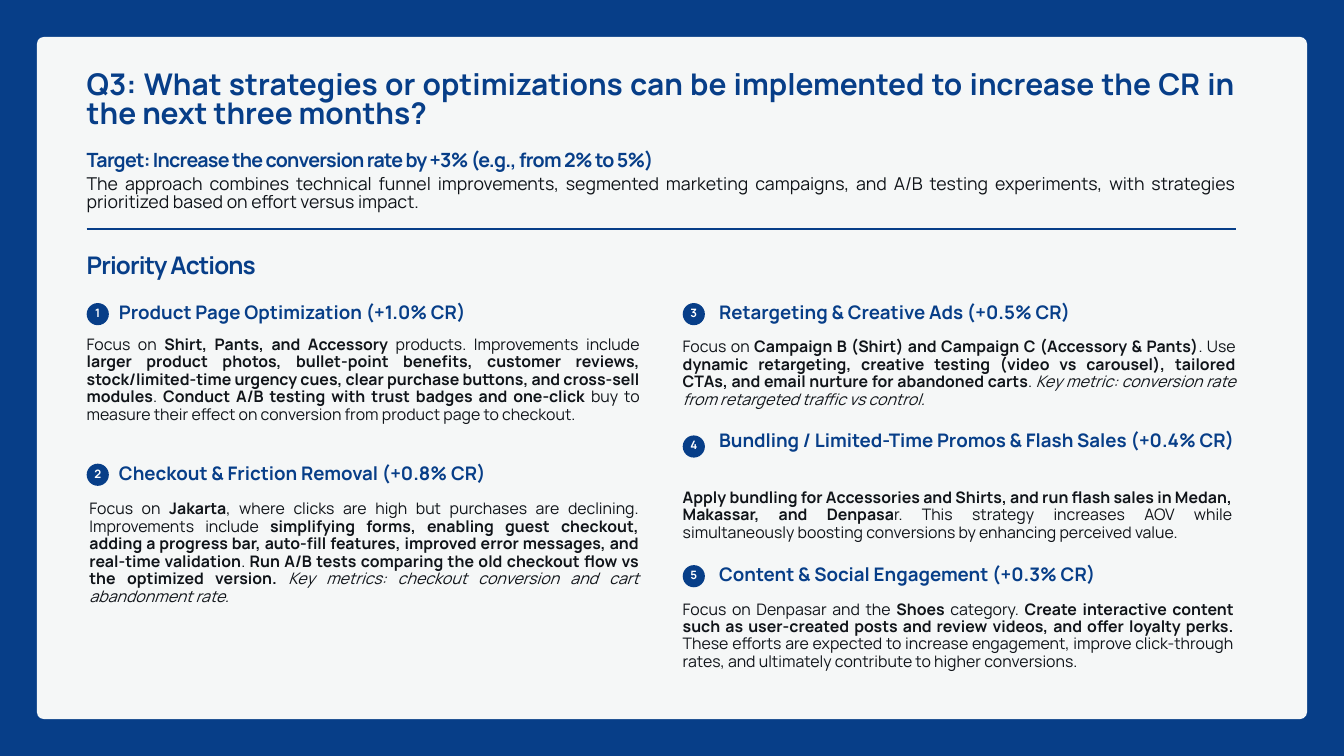
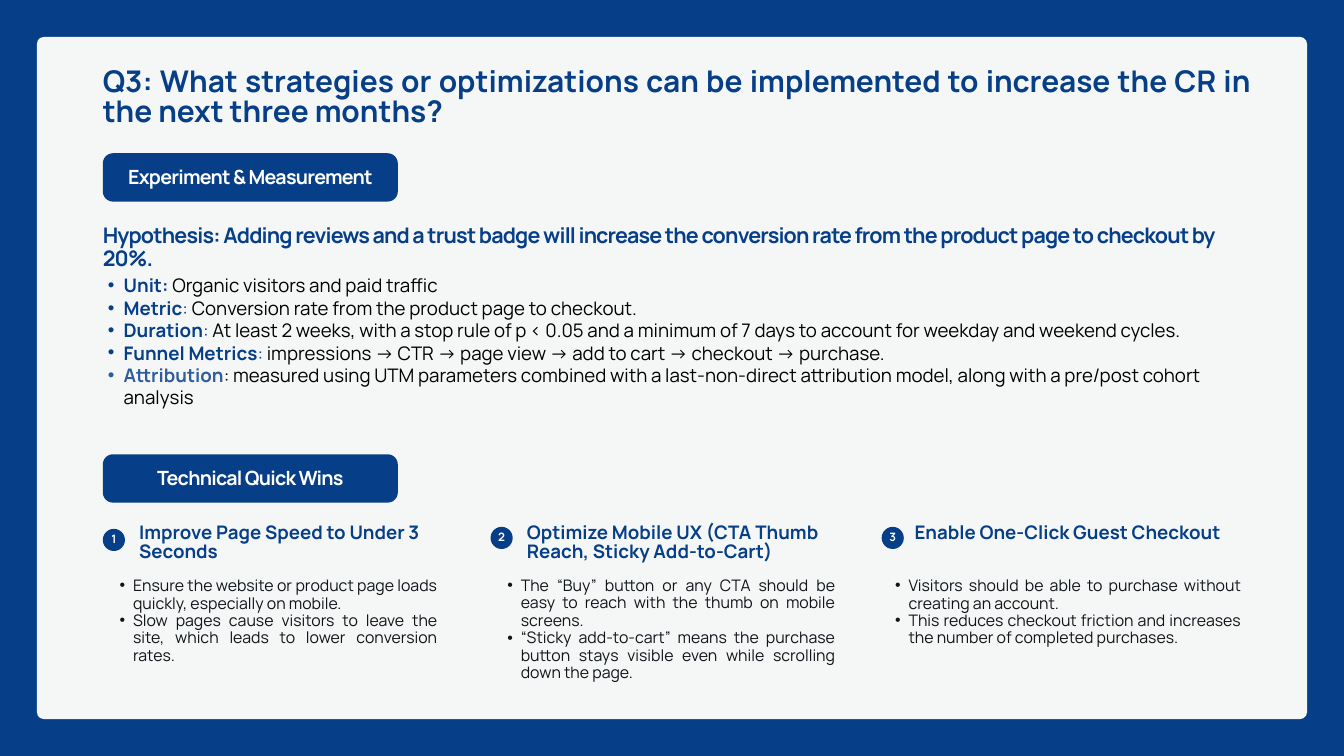
from lxml.etree import SubElement
from pptx import Presentation
from pptx.dml.color import RGBColor
from pptx.enum.shapes import MSO_CONNECTOR, MSO_SHAPE
from pptx.enum.text import MSO_ANCHOR, MSO_AUTO_SIZE, PP_ALIGN
from pptx.oxml.ns import qn
from pptx.util import Inches, Pt

BLUE = RGBColor(0x07, 0x3E, 0x88)
SOFT_BLUE = RGBColor(0x2F, 0x5D, 0x9B)
PAPER = RGBColor(0xF5, 0xF7, 0xF7)
INK = RGBColor(0x10, 0x14, 0x19)
BLACK = RGBColor(0, 0, 0)
WHITE = RGBColor(0xFF, 0xFF, 0xFF)
FONT = "Manrope"
LEFT, JUSTIFY, CENTER = PP_ALIGN.LEFT, PP_ALIGN.JUSTIFY, PP_ALIGN.CENTER


def write(sp, paragraphs, size, line, color, align=LEFT, anchor=MSO_ANCHOR.TOP,
          tracking=0, indent=None):
    """Fill sp with paragraphs, each a list of (text, style[, colour]) runs.

    style holds "b" for bold and "i" for italic; an indent gives bullets.
    """
    tf = sp.text_frame
    tf.auto_size = MSO_AUTO_SIZE.NONE
    tf.word_wrap = True
    tf.vertical_anchor = anchor
    tf.margin_left = tf.margin_right = tf.margin_top = tf.margin_bottom = 0
    for i, runs in enumerate(paragraphs):
        p = tf.add_paragraph() if i else tf.paragraphs[0]
        if indent:
            p.level = 1
            pPr = p._p.get_or_add_pPr()
            pPr.set("marL", str(Inches(2 * indent)))
            pPr.set("indent", str(-Inches(indent)))
            SubElement(pPr, qn("a:buFont"), typeface="Arial")
            SubElement(pPr, qn("a:buChar"), char="•")
        p.alignment = align
        p.line_spacing = Pt(line)
        for text, style, *own_color in runs:
            r = p.add_run()
            r.text = text
            r.font.name = FONT
            r.font.size = Pt(size)
            r.font.bold = "b" in style
            r.font.italic = "i" in style
            r.font.color.rgb = own_color[0] if own_color else color
            if tracking:
                r._r.get_or_add_rPr().set("spc", str(round(tracking * 100)))


def add_panel(s, kind, box, fill):
    sp = s.shapes.add_shape(kind, *map(Inches, box))
    sp.shadow.inherit = False
    sp.fill.solid()
    sp.fill.fore_color.rgb = fill
    sp.line.fill.background()
    return sp


prs = Presentation()
prs.slide_width, prs.slide_height = Inches(20), Inches(11.25)

# Shared frame: blue background, light card, question as title
TITLE = ("Q3: What strategies or optimizations can be implemented to increase "
         "the CR in the next three months?")
slides = []
for left, top in ((1.29, 1.06), (1.53, 1.02)):
    s = prs.slides.add_slide(prs.slide_layouts[5])
    s.background.fill.solid()
    s.background.fill.fore_color.rgb = BLUE
    card = add_panel(s, MSO_SHAPE.ROUNDED_RECTANGLE, (0.55, 0.55, 18.9, 10.15), PAPER)
    card.adjustments[0] = 0.01
    title = s.shapes.title
    title.element.addprevious(card.element)
    title.left, title.top = Inches(left), Inches(top)
    title.width, title.height = Inches(17.1), Inches(0.93)
    write(title, [[(TITLE, "b")]], 32, 32, BLUE, JUSTIFY)
    slides.append(s)
actions_slide, experiment_slide = slides

# Slide 1: target and priority actions
s = actions_slide
target = s.shapes.add_textbox(Inches(1.29), Inches(2.23), Inches(17.1), Inches(0.34))
write(target, [[("Target: Increase the conversion rate by +3% (e.g., from 2% to 5%)", "b")]],
      21, 23.1, BLUE, tracking=-0.8)
approach = s.shapes.add_textbox(Inches(1.29), Inches(2.61), Inches(17.1), Inches(0.57))
write(approach, [[("The approach combines technical funnel improvements, segmented marketing "
                   "campaigns, and A/B testing experiments, with strategies prioritized based "
                   "on effort versus impact.", "")]], 19, 19.9, INK, JUSTIFY)
rule = s.shapes.add_connector(MSO_CONNECTOR.STRAIGHT, Inches(1.29), Inches(3.41),
                              Inches(18.39), Inches(3.41))
rule.line.color.rgb = BLUE
rule.line.width = Pt(2.25)
SubElement(rule._element.spPr, qn("a:effectLst"))
priority = s.shapes.add_textbox(Inches(1.29), Inches(3.76), Inches(17.43), Inches(0.42))
write(priority, [[("Priority Actions", "b")]], 26, 28.6, BLUE, tracking=-1)

# Body box, then its runs
actions = [
    ((1.29, 5, 8.23, 1.53), [
        ("Focus on ", ""), ("Shirt, Pants, and Accessory", "b"),
        (" products. Improvements include ", ""),
        ("larger product photos, bullet-point benefits, customer reviews, stock/limited-time "
         "urgency cues, clear purchase buttons, and cross-sell modules", "b"),
        (". ", ""), ("Conduct A/B testing with trust badges and one-click", "b"),
        (" buy to measure their effect on conversion from product page to checkout.", "")]),
    ((1.33, 7.45, 8.18, 1.53), [
        ("Focus on ", ""), ("Jakarta", "b"),
        (", where clicks are high but purchases are declining. Improvements include ", ""),
        ("simplifying forms, enabling guest checkout, adding a progress bar, auto-fill "
         "features, improved error messages, and real-time validation", "b"),
        (". ", ""),
        ("Run A/B tests comparing the old checkout flow vs the optimized version. ", "b"),
        ("Key metrics: checkout conversion and cart abandonment rate.", "i")]),
    ((10.16, 5.04, 8.23, 1.03), [
        ("Focus on ", ""), ("Campaign B (Shirt) and Campaign C (Accessory & Pants)", "b"),
        (". Use ", ""),
        ("dynamic retargeting, creative testing (video vs carousel), tailored CTAs, and "
         "email nurture for abandoned carts", "b"),
        (". ", ""),
        ("Key metric: conversion rate from retargeted traffic vs control.", "i")]),
    ((10.16, 7.28, 8.18, 0.78), [
        ("Apply bundling for Accessories and Shirts, and run flash sales in Medan, "
         "Makassar, and Denpasa", "b"),
        ("r. This strategy increases AOV while simultaneously boosting conversions by "
         "enhancing perceived value.", "")]),
    ((10.16, 8.94, 8.2, 1.28), [
        ("Focus on Denpasar and the ", ""), ("Shoes", "b"), (" category. ", ""),
        ("Create interactive content such as user-created posts and review videos, and "
         "offer loyalty perks.", "b"),
        (" These efforts are expected to increase engagement, improve click-through rates, "
         "and ultimately contribute to higher conversions.", "")]),
]
for box, runs in actions:
    body = s.shapes.add_textbox(*map(Inches, box))
    write(body, [runs], 17, 18.7, INK, JUSTIFY)

# Slide 2: experiment and quick wins
s = experiment_slide
for top, label in ((2.28, "Experiment & Measurement"), (6.76, "Technical Quick Wins")):
    pill = add_panel(s, MSO_SHAPE.ROUNDED_RECTANGLE, (1.53, top, 4.39, 0.72), BLUE)
    pill.adjustments[0] = 0.21
    write(pill, [[(label, "b")]], 21, 23.1, WHITE, CENTER, MSO_ANCHOR.MIDDLE, tracking=-0.8)

hypothesis = s.shapes.add_textbox(Inches(1.53), Inches(3.33), Inches(17.1), Inches(0.71))
write(hypothesis, [[("Hypothesis: Adding reviews and a trust badge will increase the conversion "
                     "rate from the product page to checkout by 20%.", "b")]],
      23, 25.3, BLUE, tracking=-0.9)

design = [
    [("Unit: ", "b"), ("Organic visitors and paid traffic", "", BLACK)],
    [("Metric", "b"), (": ", ""),
     ("Conversion rate from the product page to checkout.", "", BLACK)],
    [("Duration", "b"), (": ", ""),
     ("At least 2 weeks, with a stop rule of p < 0.05 and a minimum of 7 days to account "
      "for weekday and weekend cycles.", "", BLACK)],
    [("Funnel Metrics", "b"), (": ", ""),
     ("impressions → CTR → page view → add to cart → checkout → purchase.", "", BLACK)],
    [("Attribution", "b", SOFT_BLUE),
     (": measured using UTM parameters combined with a last-non-direct attribution model, "
      "along with a pre/post cohort analysis", "", BLACK)],
]
design_list = s.shapes.add_textbox(Inches(1.37), Inches(4.08), Inches(17.1), Inches(2.36))
write(design_list, design, 20, 24, BLUE, indent=0.235)

quick_wins = [
    ((1.58, 8.59, 4.93, 1.28),
     ["Ensure the website or product page loads quickly, especially on mobile.",
      "Slow pages cause visitors to leave the site, which leads to lower conversion rates."]),
    ((7.35, 8.59, 5.08, 1.53),
     ["The “Buy” button or any CTA should be easy to reach with the thumb on mobile screens.",
      "“Sticky add-to-cart” means the purchase button stays visible even while scrolling "
      "down the page."]),
    ((13.12, 8.59, 5.35, 1.28),
     ["Visitors should be able to purchase without creating an account.",
      "This reduces checkout friction and increases the number of completed purchases."]),
]
for box, points in quick_wins:
    body = s.shapes.add_textbox(*map(Inches, box))
    write(body, [[(point, "")] for point in points], 17, 18.7, INK, JUSTIFY, indent=0.2)

# Numbered headings: slide, number, badge left and top, heading box, line pitch, text
headings = [
    (actions_slide, 1, 1.29, 4.51, (1.77, 4.48, 5.44, 0.36), 24,
     "Product Page Optimization (+1.0% CR)"),
    (actions_slide, 2, 1.29, 6.9, (1.77, 6.88, 7.15, 0.36), 24,
     "Checkout & Friction Removal (+0.8% CR)"),
    (actions_slide, 3, 10.16, 4.51, (10.7, 4.48, 6.72, 0.36), 24,
     "Retargeting & Creative Ads (+0.5% CR)"),
    (actions_slide, 4, 10.16, 6.48, (10.7, 6.43, 7.69, 0.59), 20,
     "Bundling / Limited-Time Promos & Flash Sales (+0.4% CR)"),
    (actions_slide, 5, 10.16, 8.41, (10.7, 8.38, 6.69, 0.36), 24,
     "Content & Social Engagement (+0.3% CR)"),
    (experiment_slide, 1, 1.53, 7.87, (2.07, 7.81, 4.86, 0.59), 20,
     "Improve Page Speed to Under 3 Seconds"),
    (experiment_slide, 2, 7.3, 7.84, (7.84, 7.81, 4.86, 0.59), 20,
     "Optimize Mobile UX (CTA Thumb Reach, Sticky Add-to-Cart)"),
    (experiment_slide, 3, 13.12, 7.84, (13.61, 7.81, 4.86, 0.32), 20,
     "Enable One-Click Guest Checkout"),
]
for s, number, left, top, box, line, text in headings:
    badge = add_panel(s, MSO_SHAPE.OVAL, (left, top, 0.33, 0.33), BLUE)
    write(badge, [[(str(number), "b")]], 12.4, 12.4, WHITE, CENTER, MSO_ANCHOR.MIDDLE)
    heading = s.shapes.add_textbox(*map(Inches, box))
    write(heading, [[(text, "b")]], 20, line, BLUE)

prs.save("out.pptx")
